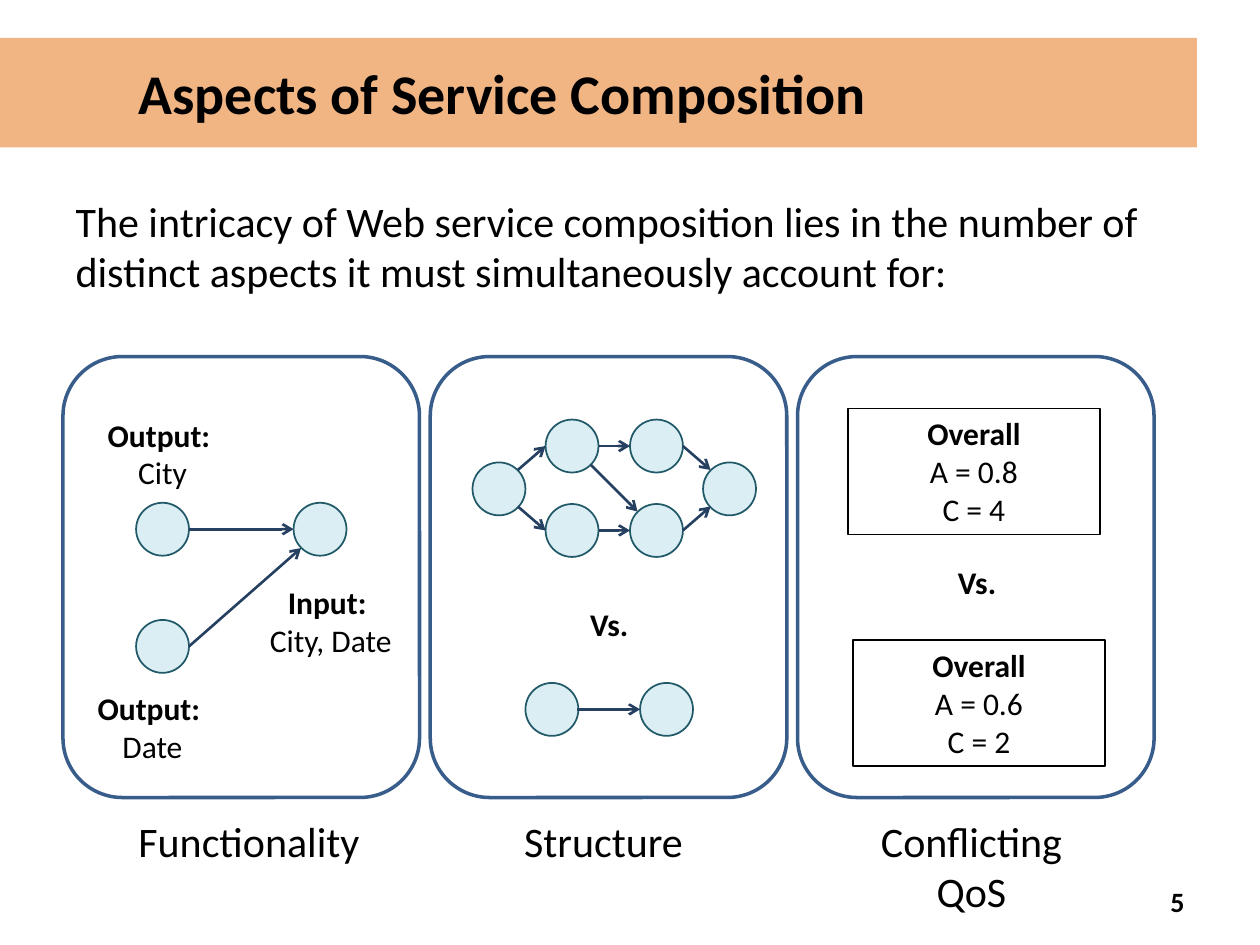
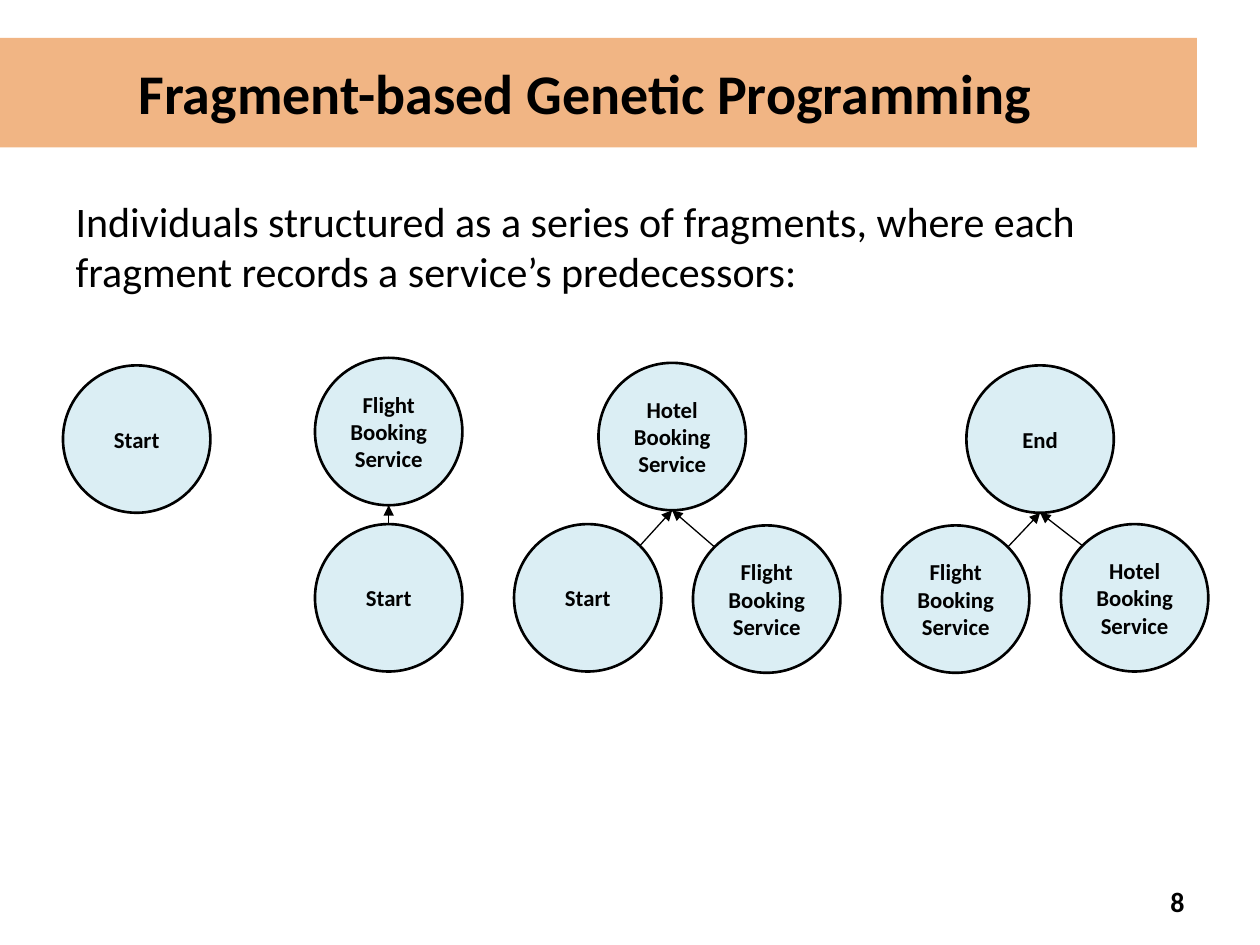
from pptx import Presentation
from pptx import util as u
from pptx.dml.color import RGBColor
from pptx.enum import shapes, text
from lxml import etree
from pptx.oxml import ns

COLOURS = {
    "band": "E46C0A", "ink": "000000", "paper": "FFFFFF", "panel": "385D8A",
    "node": "DBEEF4", "node_edge": "215968", "arrow": "254061",
}
KIND = shapes.MSO_SHAPE
LEFT, CENTRE, RIGHT = text.PP_ALIGN.LEFT, text.PP_ALIGN.CENTER, text.PP_ALIGN.RIGHT
TOP, MIDDLE = text.MSO_ANCHOR.TOP, text.MSO_ANCHOR.MIDDLE

# Shape styles: kind, fill, line colour, line width, then text format
STYLES = {
    "panel": (KIND.ROUNDED_RECTANGLE, "paper", "panel", 2, {}),
    "node": (KIND.OVAL, "node", "node_edge", 1, {}),
    "result": (KIND.RECTANGLE, "paper", "ink", 0.75,
               {"size": 18, "bold_lines": 1, "align": CENTRE}),
    "service": (KIND.OVAL, "node", "ink", 1.5,
                {"size": 13, "bold_lines": 3, "align": CENTRE, "anchor": MIDDLE}),
}


def write_text(box, content, size=24, bold_lines=0, align=LEFT, anchor=TOP, inset=0.1):
    """Fill a box with lines of text, the first bold_lines of them bold."""
    frame = box.text_frame
    frame.word_wrap = True
    frame.auto_size = text.MSO_AUTO_SIZE.NONE
    frame.vertical_anchor = anchor
    frame.margin_left = u.Inches(inset)
    for index, line in enumerate(content.split("\n")):
        para = frame.paragraphs[0] if index == 0 else frame.add_paragraph()
        para.alignment = align
        para.space_before = u.Pt(0)
        span = para.add_run()
        span.text = line
        span.font.name = "Calibri"
        span.font.size = u.Pt(size)
        span.font.bold = index < bold_lines
        span.font.color.rgb = RGBColor.from_string(COLOURS["ink"])


def add_arrow(page, start, end, colour, width, head):
    """Draw a straight arrow between two points given in inches."""
    line = page.shapes.add_connector(
        shapes.MSO_CONNECTOR.STRAIGHT, *[u.Inches(v) for v in (*start, *end)])
    line.line.color.rgb = RGBColor.from_string(COLOURS[colour])
    line.line.width = u.Pt(width)
    etree.SubElement(line.line._get_or_add_ln(), ns.qn("a:tailEnd"), type=head)
    etree.SubElement(line._element.spPr, ns.qn("a:effectLst"))


deck = Presentation()
deck.slide_width, deck.slide_height = u.Inches(10), u.Inches(7.5)

# Aspects page: three panels, service graphs and result boxes
NODE = 0.42
aspect_shapes = [("panel", 0.5 + 2.915 * i, 2.83, 2.83, 3.5, "") for i in range(3)]
aspect_shapes += [("node", x, y, NODE, NODE, "") for x, y in (
    (1.08, 3.99), (2.33, 3.99), (1.08, 4.92),
    (3.75, 3.67), (4.33, 3.33), (4.33, 4), (5, 4), (5, 3.33), (5.58, 3.67),
    (4.17, 5.42), (5.08, 5.42))]
aspect_shapes += [
    ("result", 6.73, 3.24, 2, 1, "Overall\nA = 0.8\nC = 4"),
    ("result", 6.77, 5.08, 2, 1, "Overall\nA = 0.6\nC = 2"),
]
aspect_arrows = [
    ((1.5, 4.2), (2.33, 4.2)), ((1.5, 5.13), (2.39, 4.35)),
    ((4.11, 3.73), (4.33, 3.54)), ((4.11, 4.02), (4.33, 4.21)),
    ((4.75, 3.54), (5, 3.54)), ((4.75, 4.21), (5, 4.21)),
    ((5.42, 3.54), (5.64, 3.73)), ((5.42, 4.21), (5.64, 4.02)),
    ((4.69, 3.69), (5.06, 4.06)), ((4.58, 5.63), (5.08, 5.63)),
]

# Fragments page: each service above its predecessors
SERVICE = 1.17
FLIGHT = "Flight\nBooking\nService"
HOTEL = "Hotel\nBooking\nService"
fragments = [
    (0.5, 2.9, "Start", []),
    (2.5, 2.84, FLIGHT, [(2.5, 4.16, "Start")]),
    (4.75, 2.88, HOTEL, [(4.08, 4.16, "Start"), (5.5, 4.17, FLIGHT)]),
    (7.67, 2.9, "End", [(7, 4.17, FLIGHT), (8.42, 4.16, HOTEL)]),
]
fragment_shapes, fragment_arrows = [], []
for left, top, name, predecessors in fragments:
    fragment_shapes.append(("service", left, top, SERVICE, SERVICE, name))
    for x, y, predecessor in predecessors:
        fragment_shapes.append(("service", x, y, SERVICE, SERVICE, predecessor))
        # Leave from the side of the circle that faces the service above
        if x == left:
            start = (x + SERVICE / 2, y)
        else:
            start = (x + (1 if x < left else 0.17), y + 0.17)
        fragment_arrows.append((start, (left + SERVICE / 2, top + SERVICE)))

PAGES = [
    ("Aspects of Service Composition",
     "The intricacy of Web service composition lies in the number of distinct "
     "aspects it must simultaneously account for:",
     "5", aspect_shapes, aspect_arrows, ("arrow", 1.5, "arrow")),
    ("Fragment-based Genetic Programming",
     "Individuals structured as a series of fragments, where each fragment "
     "records a service’s predecessors:",
     "8", fragment_shapes, fragment_arrows, ("ink", 0.75, "triangle")),
]

# Text boxes of the aspects page: place, content, format
bold_first = {"size": 18, "bold_lines": 1, "align": CENTRE}
labels = [
    (0.75, 3.25, 1.08, 0.7, "Output: \nCity", bold_first),
    (0.67, 5.42, 1.08, 0.7, "Output: \nDate", bold_first),
    (2, 4.58, 1.25, 0.7, "Input: \nCity, Date", bold_first),
    (4.5, 4.75, 0.67, 0.4, "Vs.", bold_first),
    (7.42, 4.42, 0.67, 0.4, "Vs.", bold_first),
    (1, 6.42, 2.08, 0.5, "Functionality", {}),
    (3.75, 6.42, 2.08, 0.5, "Structure", {"align": CENTRE}),
    (6.67, 6.42, 2.08, 0.9, "Conflicting QoS", {"align": CENTRE}),
]

for title, intro, number, page_shapes, arrows, arrow_style in PAGES:
    page = deck.slides.add_slide(deck.slide_layouts[1])

    # Title on a half-transparent band
    band = page.shapes.title
    band.left, band.top, band.width, band.height = [u.Inches(v) for v in (0, 0.3, 9.5, 0.87)]
    band.fill.solid()
    band.fill.fore_color.rgb = RGBColor.from_string(COLOURS["band"])
    tint = band._element.spPr.find(".//" + ns.qn("a:srgbClr"))
    etree.SubElement(tint, ns.qn("a:alpha"), val="50000")
    write_text(band, title, size=32, bold_lines=1, anchor=MIDDLE, inset=1.1)

    # Introduction without a bullet
    body = page.placeholders[1]
    body.left, body.top, body.width, body.height = [u.Inches(v) for v in (0.5, 1.5, 9, 1.17)]
    properties = body.text_frame.paragraphs[0]._p.get_or_add_pPr()
    properties.set("marL", "0")
    properties.set("indent", "0")
    etree.SubElement(properties, ns.qn("a:buNone"))
    write_text(body, intro)

    # Page number
    box = page.shapes.add_textbox(*[u.Inches(v) for v in (7.17, 6.95, 2.33, 0.4)])
    write_text(box, number, size=16, bold_lines=1, align=RIGHT, anchor=MIDDLE)

    # Panels, circles and boxes
    for style, left, top, width, height, content in page_shapes:
        kind, fill, edge, weight, text_format = STYLES[style]
        shape = page.shapes.add_shape(kind, *[u.Inches(v) for v in (left, top, width, height)])
        shape.shadow.inherit = False
        shape.fill.solid()
        shape.fill.fore_color.rgb = RGBColor.from_string(COLOURS[fill])
        shape.line.color.rgb = RGBColor.from_string(COLOURS[edge])
        shape.line.width = u.Pt(weight)
        if content:
            write_text(shape, content, **text_format)

    for start, end in arrows:
        add_arrow(page, start, end, *arrow_style)

# Labels in and under the panels
for left, top, width, height, content, text_format in labels:
    box = deck.slides[0].shapes.add_textbox(*[u.Inches(v) for v in (left, top, width, height)])
    write_text(box, content, **text_format)

deck.save("out.pptx")
